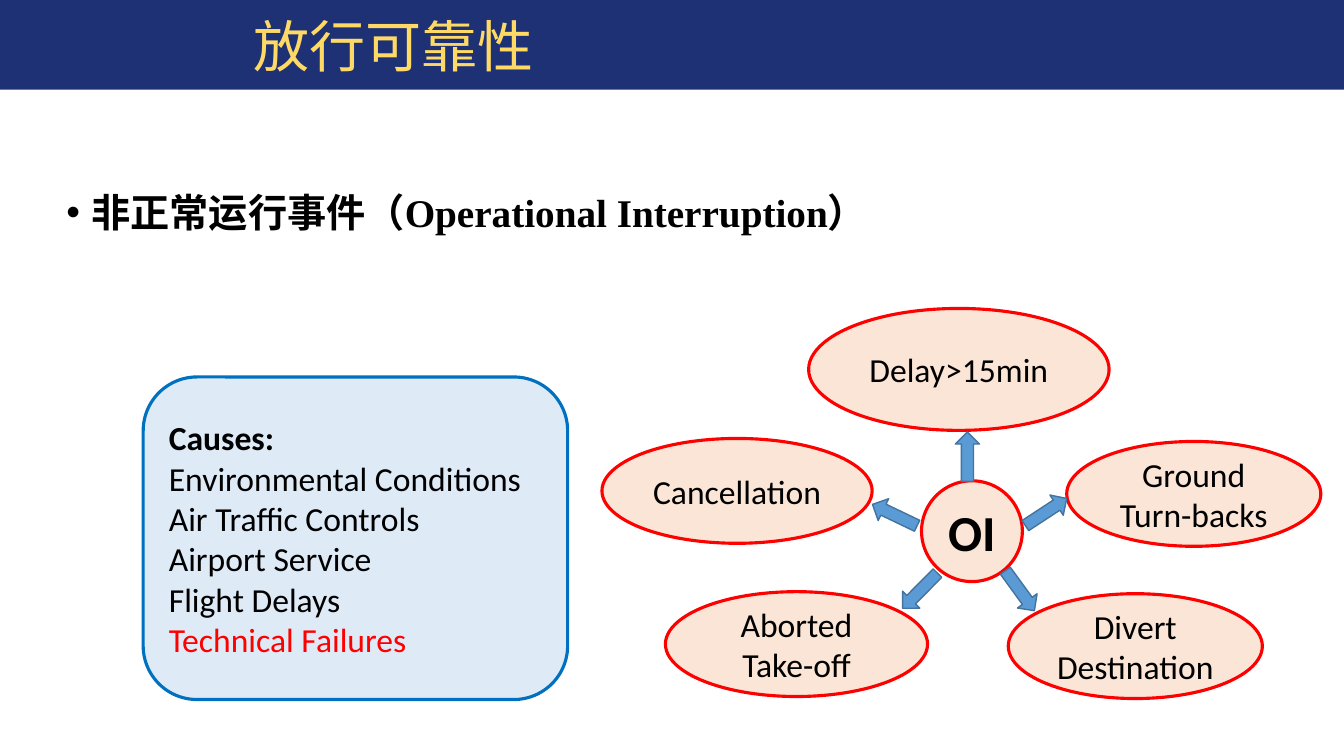
from lxml import etree
from pptx import Presentation
from pptx.dml.color import RGBColor
from pptx.enum import shapes, text
from pptx.oxml.ns import qn
from pptx.util import Inches, Pt

LATIN, CHINESE, SERIF = "Calibri", "Noto Sans CJK SC", "Times New Roman"
BLACK, RED, YELLOW = "000000", "FF0000", "FFD966"
LEFT, CENTER, JUSTIFY = text.PP_ALIGN.LEFT, text.PP_ALIGN.CENTER, text.PP_ALIGN.JUSTIFY

title = "放行可靠性"
heading = [("非正常运行事件（", CHINESE), ("Operational Interruption", SERIF), ("）", CHINESE)]
hub = ("OI", 9.14, 4.77, 1, 1)
interruptions = [
    ("Delay>15min", 8.02, 3.06, 2.98, 1.21),
    ("Divert Destination", 10, 5.89, 2.52, 1.04),
    ("Aborted Take-off", 6.6, 5.87, 2.6, 1.04),
    ("Ground Turn-backs", 10.58, 4.38, 2.52, 1.04),
    ("Cancellation", 5.97, 4.35, 2.68, 1.04),
]
arrows = [(10.13, 4.96, 326.7), (9.35, 4.41, 270), (8.63, 4.99, 205.6),
          (8.88, 5.74, 134.7), (9.87, 5.74, 54)]
causes = ["Causes: ", "Environmental Conditions", "Air Traffic Controls",
          "Airport Service", "Flight Delays", "Technical Failures"]

deck = Presentation()
deck.slide_width, deck.slide_height = Inches(13.33), Inches(7.5)
slide = deck.slides.add_slide(deck.slide_layouts[6])


def color(value):
    return RGBColor.from_string(value)


def add_run(paragraph, words, size, font=LATIN, ink=BLACK, bold=False):
    run = paragraph.add_run()
    run.text = words
    run.font.size, run.font.bold = Pt(size), bold
    run.font.color.rgb = color(ink)
    run.font.name = font
    etree.SubElement(run._r.get_or_add_rPr(), qn("a:ea"), typeface=font)


def add_part(kind, left, top, width, height, fill, line=None, weight=2.25):
    part = slide.shapes.add_shape(kind, *map(Inches, (left, top, width, height)))
    part.shadow.inherit = False
    part.fill.solid()
    part.fill.fore_color.rgb = color(fill)
    if line:
        part.line.color.rgb = color(line)
        part.line.width = Pt(weight)
    else:
        part.line.fill.background()
    part.text_frame.vertical_anchor = text.MSO_ANCHOR.MIDDLE
    return part


def add_text(left, top, width, height, anchor):
    frame = slide.shapes.add_textbox(*map(Inches, (left, top, width, height))).text_frame
    frame.word_wrap = True
    frame.vertical_anchor = anchor
    frame.paragraphs[0].alignment = LEFT
    return frame.paragraphs[0]


def add_bubble(words, left, top, width, height, size=24, bold=False):
    bubble = add_part(shapes.MSO_SHAPE.OVAL, left, top, width, height, "FBE5D6", RED)
    line = bubble.text_frame.paragraphs[0]
    line.alignment = CENTER
    add_run(line, words, size, bold=bold)


add_part(shapes.MSO_SHAPE.RECTANGLE, 0, 0, 13.33, 0.89, "1E3174")

heading_line = add_text(0.56, 1.59, 12.77, 4.76, text.MSO_ANCHOR.TOP)
heading_line.line_spacing, heading_line.space_before = 1.5, Pt(10)
bullet = heading_line._p.get_or_add_pPr()
bullet.set("marL", str(Inches(0.25)))
bullet.set("indent", str(Inches(-0.25)))
etree.SubElement(bullet, qn("a:buFont"), typeface="Arial")
etree.SubElement(bullet, qn("a:buChar"), char="•")
for words, font in heading:
    add_run(heading_line, words, 28, font, bold=True)

title_line = add_text(2.42, -0.24, 10, 1.45, text.MSO_ANCHOR.MIDDLE)
title_line.line_spacing = 0.9
add_run(title_line, title, 40, CHINESE, YELLOW)

for interruption in interruptions:
    add_bubble(*interruption)
add_bubble(*hub, size=36, bold=True)

for left, top, angle in arrows:
    arrow = add_part(shapes.MSO_SHAPE.RIGHT_ARROW, left, top, 0.49, 0.24, "5B9BD5", "43739E", 1)
    arrow.rotation = angle

panel = add_part(shapes.MSO_SHAPE.ROUNDED_RECTANGLE, 1.42, 3.74, 4.21, 3.2, "DEEBF7", "0070C0")
for index, cause in enumerate(causes):
    line = panel.text_frame.add_paragraph() if index else panel.text_frame.paragraphs[0]
    line.alignment = JUSTIFY
    add_run(line, cause, 24, ink=RED if cause == causes[-1] else BLACK, bold=index == 0)

deck.save("out.pptx")
